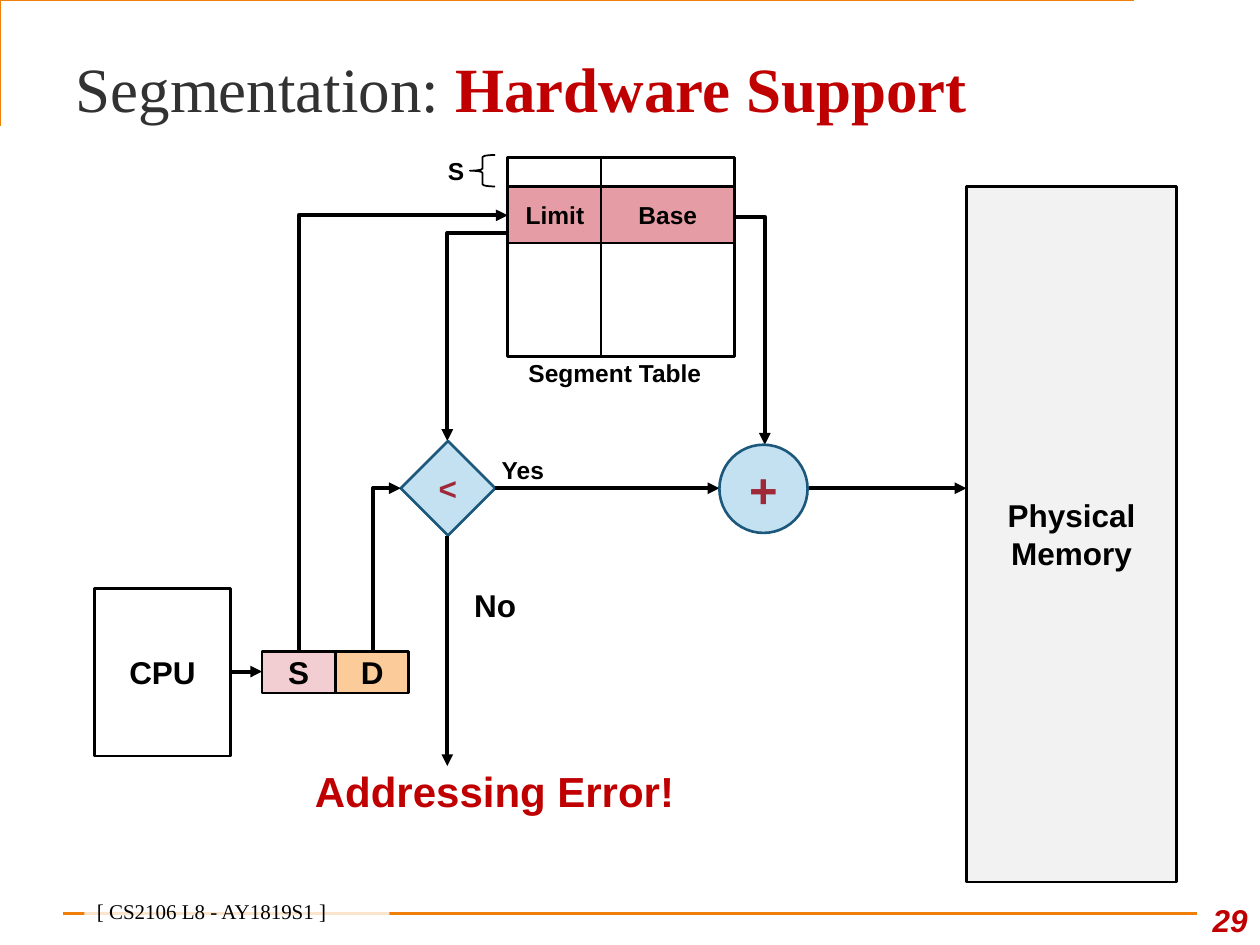
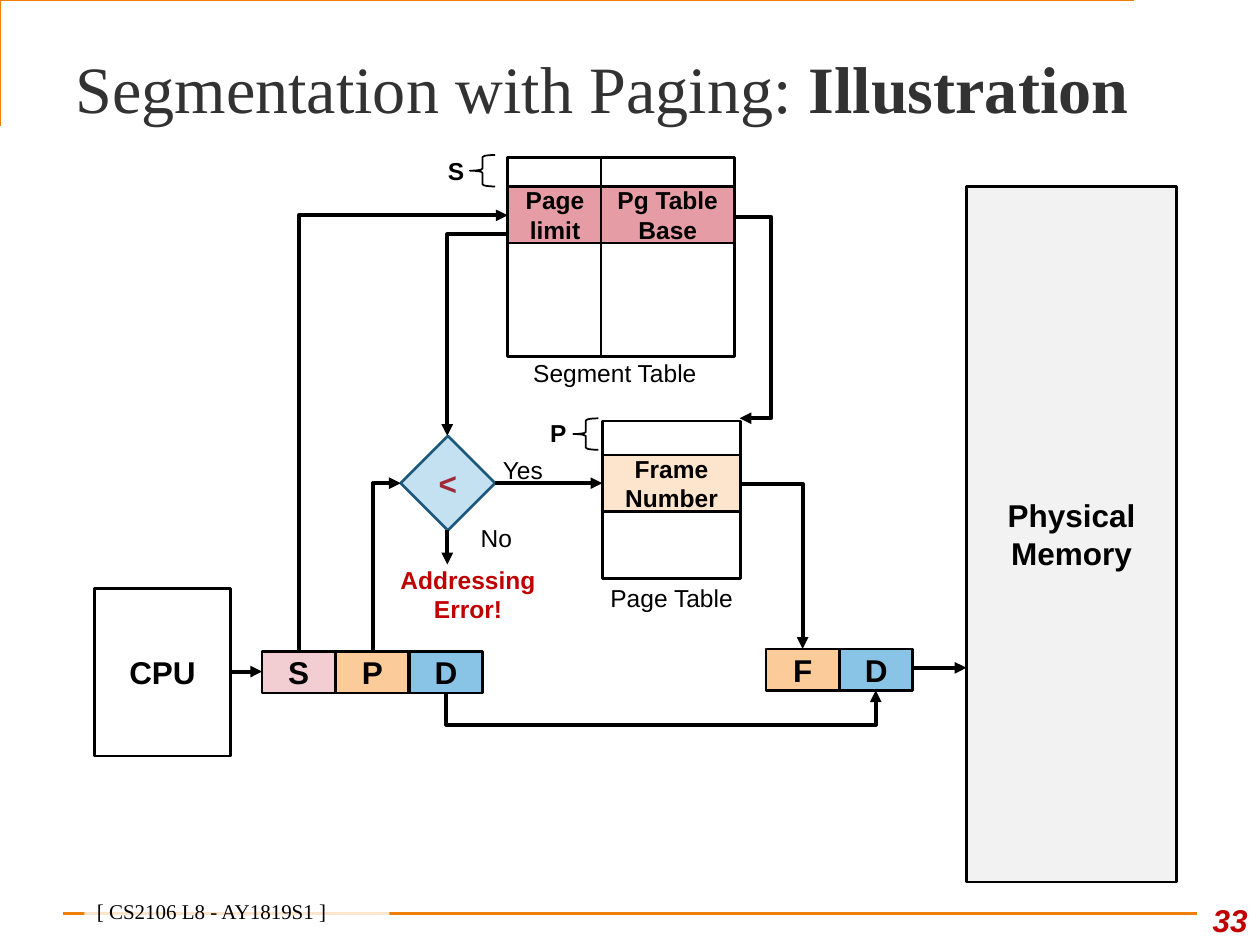
"""Two lecture slides on segmentation hardware and segmentation with paging."""
from dataclasses import dataclass
from lxml import etree
from pptx import Presentation, util as u
from pptx.dml.color import RGBColor
from pptx.enum import shapes, text
from pptx.oxml.ns import qn


@dataclass(frozen=True)
class Theme:
    ink: str = "000000"
    dark: str = "323232"
    red: str = "C00000"
    orange: str = "F07F09"
    white: str = "FFFFFF"
    gray: str = "F2F2F2"
    pink: str = "F2CED2"
    rose: str = "E69CA4"
    peach: str = "FBCC9A"
    cream: str = "FDE5CD"
    sky: str = "89C3E5"
    pale: str = "C4E1F2"
    navy: str = "1B587C"
    wine: str = "9F2936"
    sans: str = "Arial"
    serif: str = "Times New Roman"
    foot: float = 12
    small: float = 14
    body: float = 18
    large: float = 24
    sign: float = 28


T = Theme()
KIND = shapes.MSO_SHAPE
ALIGN = text.PP_ALIGN
ANCHOR = text.MSO_ANCHOR


def box(words, x, y, w, h, kind=None, fill=None, edge=None, weight=1.5,
        size=T.body, color=T.ink, font=T.sans, bold=True, italic=False,
        align=ALIGN.CENTER, anchor=ANCHOR.MIDDLE):
    """Add a shape, or a text box if no kind is given, with formatted text."""
    area = [u.Inches(v) for v in (x, y, w, h)]
    if kind is None:
        item = slide.shapes.add_textbox(*area)
    else:
        item = slide.shapes.add_shape(kind, *area)
        item.shadow.inherit = False
        if fill:
            item.fill.solid()
            item.fill.fore_color.rgb = RGBColor.from_string(fill)
        else:
            item.fill.background()
        if edge:
            item.line.color.rgb = RGBColor.from_string(edge)
            item.line.width = u.Pt(weight)
        else:
            item.line.fill.background()
    if words:
        frame = item.text_frame
        frame.word_wrap = True
        frame.vertical_anchor = anchor
        if align == ALIGN.CENTER:
            frame.margin_left = frame.margin_right = 0
        para = frame.paragraphs[0]
        para.alignment = align
        run = para.add_run()
        run.text = words
        run.font.name, run.font.size = font, u.Pt(size)
        run.font.bold, run.font.italic = bold, italic
        run.font.color.rgb = RGBColor.from_string(color)
    return item


def link(*route, color=T.ink, weight=2.25, head=True):
    """Join the points of a route with one straight or elbow connector."""
    (x, y), (p, q) = route[0], route[-1]
    bends = len(route) - 2
    dx, dy = p - x, q - y
    upright = bends > 0 and route[1][0] == x
    ends = (x, y, p, q)
    if upright:
        mx, my = (x + p) / 2, (y + q) / 2
        ends = (mx - dy / 2, my + dx / 2, mx + dy / 2, my - dx / 2)
    style = shapes.MSO_CONNECTOR.ELBOW if bends else shapes.MSO_CONNECTOR.STRAIGHT
    line = slide.shapes.add_connector(style, *[u.Inches(v) for v in ends])
    line.line.color.rgb = RGBColor.from_string(color)
    line.line.width = u.Pt(weight)
    props = line._element.spPr
    if bends:
        geom = props.find(qn("a:prstGeom"))
        geom.set("prst", f"bentConnector{bends + 1}")
        guides = geom.find(qn("a:avLst"))
        if upright:
            props.find(qn("a:xfrm")).set("rot", "5400000")
        for i in range(1, bends):
            tall = upright == (i % 2 == 1)
            share = (route[i][1] - y) / dy if tall else (route[i][0] - x) / dx
            etree.SubElement(guides, qn("a:gd"), name=f"adj{i}",
                             fmla=f"val {round(share * 100000)}")
    if head:
        etree.SubElement(props.find(qn("a:ln")), qn("a:tailEnd"), type="triangle")
    etree.SubElement(props, qn("a:effectLst"))


show = Presentation()
show.slide_width, show.slide_height = u.Inches(10), u.Inches(7.5)

plans = [
    dict(title="Segmentation: ", key="Hardware Support", tint=T.red, size=36,
         page="29", cells=("Limit", "Base"), bold=True, top=3.5, turn=1.85,
         base=[(5.3, 1.36), (5.3, 1.72), (6.07, 1.72), (6.07, 3.53)],
         parts=[("S", T.pink), ("D", T.peach)]),
    dict(title="Segmentation with Paging: ", key="Illustration", tint=T.dark,
         size=37.8, page="33", cells=("Page limit", "Pg Table Base"),
         bold=False, top=3.46, turn=1.86,
         base=[(5.3, 1.29), (5.3, 1.72), (6.12, 1.72), (6.12, 3.32), (5.87, 3.32)],
         parts=[("S", T.pink), ("P", T.peach), ("D", T.sky)]),
]

for plan in plans:
    slide = show.slides.add_slide(show.slide_layouts[5])
    pen = slide.shapes.build_freeform(0.42, 0.92, scale=u.Inches(1))
    pen.add_line_segments([(0.42, 0.25), (9.42, 0.25)], close=False)
    trim = pen.convert_to_shape()
    trim.shadow.inherit = False
    trim.fill.background()
    trim.line.color.rgb = RGBColor.from_string(T.orange)
    trim.line.width = u.Pt(1.5)
    link((0.5, 7.25), (9.5, 7.25), color=T.orange, weight=1.5, head=False)

    title = slide.shapes.title
    title.left, title.top = u.Inches(0.5), u.Inches(0.3)
    title.width, title.height = u.Inches(9), u.Inches(0.78)
    title.text_frame.vertical_anchor = ANCHOR.MIDDLE
    title.text_frame.auto_size = text.MSO_AUTO_SIZE.NONE
    para = title.text_frame.paragraphs[0]
    para.alignment = ALIGN.LEFT
    for words, tint, bold in ((plan["title"], T.dark, False),
                              (plan["key"], plan["tint"], True)):
        run = para.add_run()
        run.text = words
        run.font.name, run.font.size = T.serif, u.Pt(plan["size"])
        run.font.bold = bold
        run.font.color.rgb = RGBColor.from_string(tint)

    box(plan["page"], 9.42, 7, 0.58, 0.5, color=T.red, italic=True,
        align=ALIGN.RIGHT, anchor=ANCHOR.BOTTOM)
    foot = box("[ CS2106 L8 - AY1819S1 ]", 0.67, 7.13, 2.42, 0.25, KIND.RECTANGLE,
               T.white, size=T.foot, font=T.serif, bold=False,
               align=ALIGN.LEFT, anchor=ANCHOR.BOTTOM)
    shade = foot._element.spPr.find(qn("a:solidFill"))[0]
    etree.SubElement(shade, qn("a:alpha"), val="80000")

    top, turn = plan["top"], plan["turn"]
    mid = top + 0.375
    link(*plan["base"])
    link((4.4, 1.93), (4.4, turn), (3.55, turn), (3.55, top))
    box("CPU", 0.75, 4.67, 1.08, 1.33, KIND.RECTANGLE, T.white, T.ink)
    for i, (name, fill) in enumerate(plan["parts"]):
        box(name, 2.08 + i * 0.585, 5.17, 0.58, 0.33, KIND.RECTANGLE, fill, T.ink)
    link((1.83, 5.33), (2.08, 5.33))
    box("<", 3.18, top, 0.75, 0.75, KIND.DIAMOND, T.pale, T.navy, color=T.wine)
    link((2.37, 5.17), (2.37, 1.71), (4.03, 1.71))
    link((2.96, 5.17), (2.96, mid), (3.18, mid))
    box("Yes", 3.86, 3.56, 0.58, 0.33, size=T.small, bold=plan["bold"])
    box("", 3.73, 1.23, 0.2, 0.25, KIND.LEFT_BRACE, edge=T.ink, weight=1)
    box("S", 3.33, 1.19, 0.58, 0.33, size=T.small)
    box("Physical Memory", 7.67, 1.48, 1.67, 5.52, KIND.RECTANGLE, T.gray, T.ink)
    columns = list(zip(plan["cells"], (4.03, 4.77), (0.75, 1.06)))
    for _, x, w in columns:
        box("", x, 1.25, w, 1.58, KIND.RECTANGLE, T.white, T.ink)
    for name, x, w in columns:
        box(name, x, 1.48, w, 0.45, KIND.RECTANGLE, T.rose, T.ink, size=T.small)
    box("Segment Table", 4.04, 2.79, 1.68, 0.33, size=T.small, bold=plan["bold"])

    if plan["page"] == "29":
        link((3.93, mid), (5.71, mid))
        box("No", 3.53, 4.64, 0.8, 0.33)
        link((3.55, 4.25), (3.55, 6.08))
        box("Addressing Error!", 2.34, 6.11, 3.17, 0.33, size=T.large, color=T.red)
        box("+", 5.71, 3.53, 0.7, 0.7, KIND.OVAL, T.pale, T.navy,
            size=T.sign, color=T.wine)
        link((6.42, mid), (7.67, mid))
    else:
        box("", 4.78, 3.34, 1.1, 1.25, KIND.RECTANGLE, T.white, T.ink)
        box("Page Table", 4.74, 4.5, 1.18, 0.49, size=T.small, bold=False)
        box("Frame Number", 4.78, 3.61, 1.1, 0.45, KIND.RECTANGLE, T.cream, T.ink,
            size=T.small)
        box("", 4.55, 3.32, 0.2, 0.25, KIND.LEFT_BRACE, edge=T.ink, weight=1)
        box("P", 4.14, 3.27, 0.58, 0.33, size=T.small)
        link((3.93, mid), (4.78, mid))
        box("No", 3.65, 4.1, 0.58, 0.33, size=T.small, bold=False)
        link((3.55, 4.21), (3.55, 4.48))
        box("Addressing Error!", 3.08, 4.55, 1.27, 0.33, size=T.small, color=T.red)
        link((5.88, 3.84), (6.37, 3.84), (6.37, 5.15))
        for i, (name, fill) in enumerate((("F", T.peach), ("D", T.sky))):
            box(name, 6.08 + i * 0.585, 5.15, 0.58, 0.33, KIND.RECTANGLE, fill, T.ink)
        link((3.54, 5.5), (3.54, 5.75), (6.95, 5.75), (6.95, 5.48))
        link((7.25, 5.3), (7.67, 5.3))

show.save("out.pptx")
